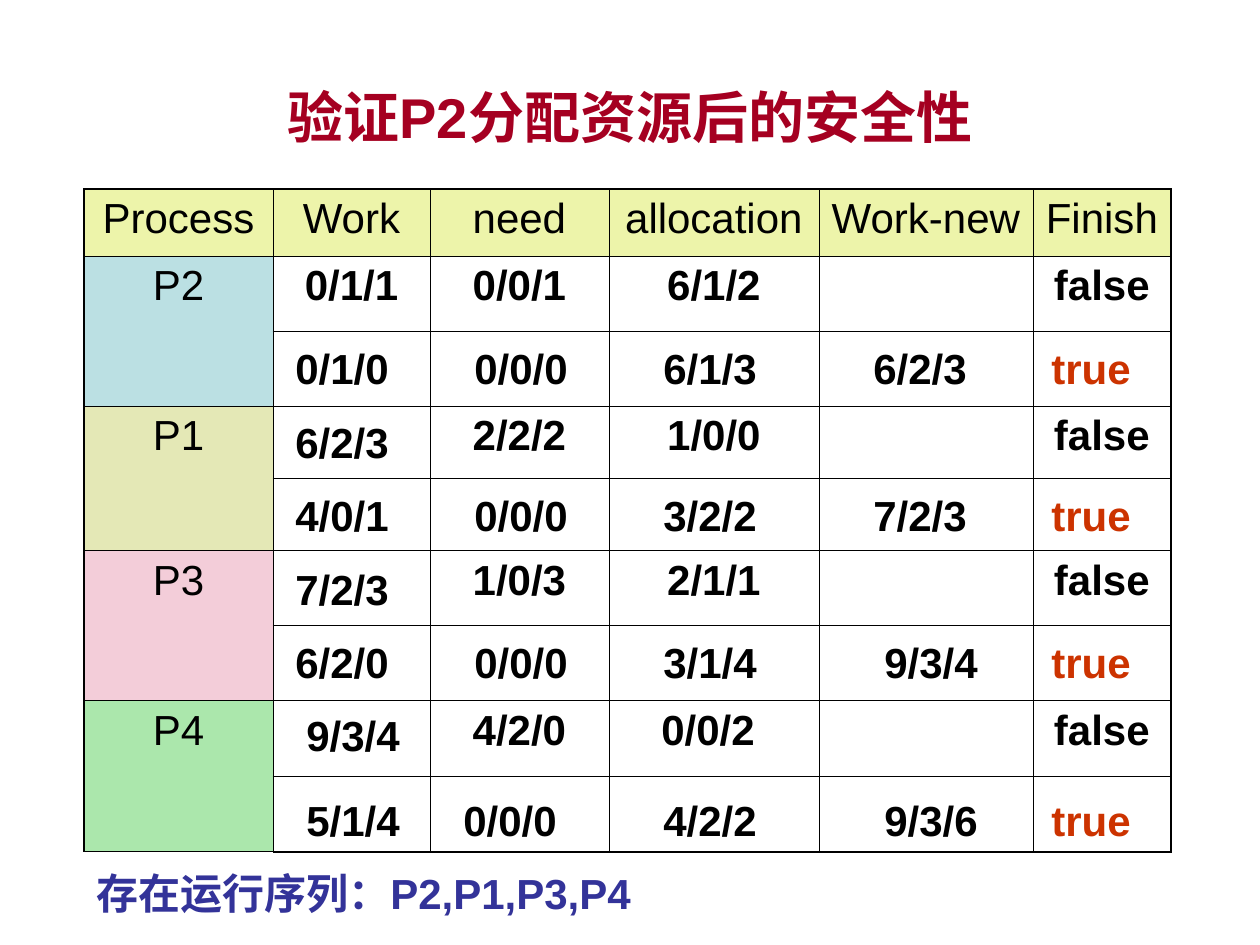
from lxml.etree import SubElement
from pptx import Presentation
from pptx.dml.color import RGBColor as RGB
from pptx.enum.text import MSO_ANCHOR as ANCHOR, MSO_AUTO_SIZE as AUTO, PP_ALIGN as ALIGN
from pptx.oxml.ns import qn
from pptx.util import Emu, Pt

BLACK = RGB(0x00, 0x00, 0x00)
CRIMSON = RGB(0xA5, 0x00, 0x21)
NAVY = RGB(0x33, 0x33, 0x99)
RED = RGB(0xCC, 0x33, 0x00)
HEADER_FILL = RGB(0xED, 0xF4, 0xAA)
FONT = "Arial"

# Content
TITLE = "验证P2分配资源后的安全性"
SEQUENCE = "存在运行序列：P2,P1,P3,P4"
HEADERS = ["Process", "Work", "need", "allocation", "Work-new", "Finish"]
# process, its fill, then the row before the process runs (Work to Finish)
PROCESSES = [
    ("P2", RGB(0xBB, 0xE0, 0xE3), ["0/1/1", "0/0/1", "6/1/2", "", "false"]),
    ("P1", RGB(0xE4, 0xE8, 0xB6), ["", "2/2/2", "1/0/0", "", "false"]),
    ("P3", RGB(0xF3, 0xCD, 0xD9), ["", "1/0/3", "2/1/1", "", "false"]),
    ("P4", RGB(0xAB, 0xE7, 0xAC), ["", "4/2/0", "0/0/2 ", "", "false"]),
]
# Values laid over the table: top px, then (left px, text)
OVERLAYS = [
    (336, [(283, "0/1/0"), (462, "0/0/0"), (651, "6/1/3"), (861, "6/2/3"), (1039, "true")]),
    (410, [(283, "6/2/3")]),
    (483, [(283, "4/0/1"), (462, "0/0/0"), (651, "3/2/2"), (861, "7/2/3"), (1039, "true")]),
    (557, [(283, "7/2/3")]),
    (630, [(283, "6/2/0"), (462, "0/0/0"), (651, "3/1/4"), (872, "9/3/4"), (1039, "true")]),
    (703, [(294, "9/3/4")]),
    (788, [(294, "5/1/4"), (451, "0/0/0"), (651, "4/2/2"), (872, "9/3/6"), (1039, "true")]),
]

# Layout in px
LEFT, TOP = 84, 189
COL_WIDTHS = [189, 157, 179, 210, 214, 138]
ROW_HEIGHTS = [67, 75, 75, 72, 73, 75, 75, 76, 75]
THIN, THICK = 0.45, 1.08


def px(n):
    return Emu(round(n * 914400 / 126))


def write(tf, text, size=24, color=BLACK, bold=True, align=ALIGN.LEFT, before=6):
    p = tf.paragraphs[0]
    p.alignment = align
    p.space_before = Pt(before)
    r = p.add_run()
    r.text = text
    r.font.name = FONT
    r.font.size = Pt(size)
    r.font.bold = bold
    r.font.color.rgb = color


def add_text(slide, text, left, top, width, height, **style):
    tf = slide.shapes.add_textbox(px(left), px(top), px(width), px(height)).text_frame
    tf.word_wrap = True
    write(tf, text, **style)
    return tf


def set_borders(cell, widths):
    tcPr = cell._tc.get_or_add_tcPr()
    for side, width in zip("LRTB", widths):
        ln = SubElement(tcPr, qn(f"a:ln{side}"), w=str(int(Pt(width))))
        fill = SubElement(ln, qn("a:solidFill"))
        SubElement(fill, qn("a:srgbClr"), val=str(BLACK))


def fill_cell(cell, text, fill=None, bold=True):
    if fill is None:
        cell.fill.background()
    else:
        cell.fill.solid()
        cell.fill.fore_color.rgb = fill
    if text:
        write(cell.text_frame, text, bold=bold, align=ALIGN.CENTER)


def add_process_table(slide):
    n_rows, n_cols = len(ROW_HEIGHTS), len(COL_WIDTHS)
    table = slide.shapes.add_table(n_rows, n_cols, px(LEFT), px(TOP),
                                   px(sum(COL_WIDTHS)), px(sum(ROW_HEIGHTS))).table
    table.first_row = table.horz_banding = False
    for col, width in zip(table.columns, COL_WIDTHS):
        col.width = px(width)
    for row, height in zip(table.rows, ROW_HEIGHTS):
        row.height = px(height)

    # Thick outer frame, thin inner grid
    for i in range(n_rows):
        for j in range(n_cols):
            outer = (j == 0, j == n_cols - 1, i == 0, i == n_rows - 1)
            set_borders(table.cell(i, j), [THICK if o else THIN for o in outer])

    for j, text in enumerate(HEADERS):
        fill_cell(table.cell(0, j), text, HEADER_FILL, bold=False)

    # Two rows per process, its name spanning both
    for k, (name, fill, values) in enumerate(PROCESSES):
        i = 1 + 2 * k
        table.cell(i, 0).merge(table.cell(i + 1, 0))
        fill_cell(table.cell(i, 0), name, fill, bold=False)
        for j, text in enumerate(values, 1):
            fill_cell(table.cell(i, j), text)
            fill_cell(table.cell(i + 1, j), "")


def main():
    prs = Presentation()
    prs.slide_width, prs.slide_height = px(1260), px(945)
    s = prs.slides.add_slide(prs.slide_layouts[6])

    # Title and running sequence
    tf = add_text(s, TITLE, 63, 38, 1134, 157, size=32, color=CRIMSON,
                  align=ALIGN.CENTER, before=0)
    tf.vertical_anchor = ANCHOR.MIDDLE
    tf = add_text(s, SEQUENCE, 84, 861, 1061, 63, color=NAVY, before=15)
    tf.auto_size = AUTO.SHAPE_TO_FIT_TEXT

    add_process_table(s)

    # Values laid over the table
    for top, values in OVERLAYS:
        for left, text in values:
            tf = add_text(s, text, left, top, 126, 63,
                          color=RED if text == "true" else BLACK)
            tf.auto_size = AUTO.SHAPE_TO_FIT_TEXT

    prs.save("out.pptx")


if __name__ == "__main__":
    main()
